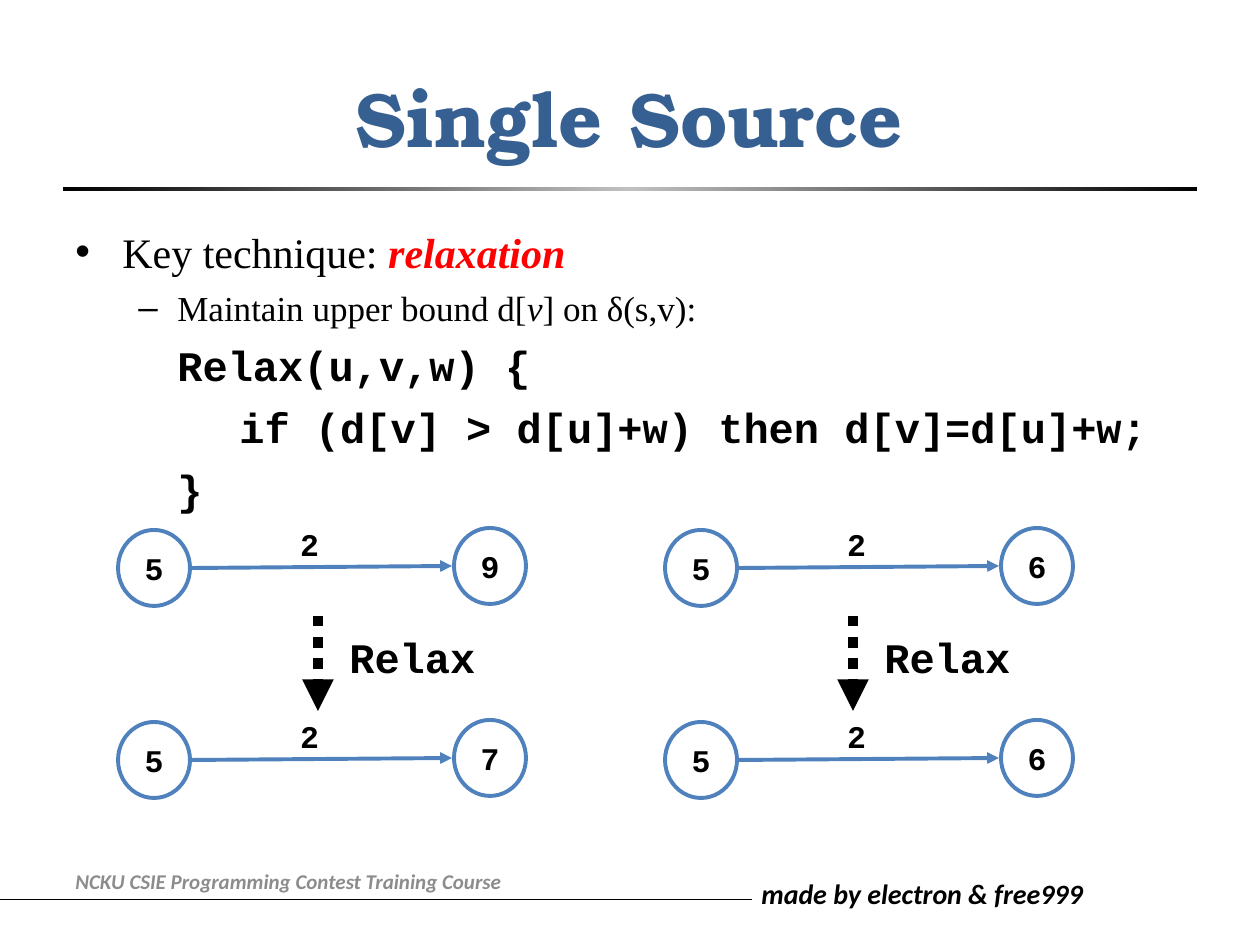
import pptx
import pptx.util
import pptx.dml.color
import pptx.enum.dml
import pptx.enum.shapes
import pptx.enum.text
import pptx.oxml
import pptx.oxml.ns
import lxml.etree

SCALE = 914400 / 126
COLORS = {"black": "000000", "title": "376092", "red": "FF0000", "blue": "4F81BD",
          "white": "FFFFFF", "silver": "C0C0C0", "grey": "8C8C8C"}
CODE, SERIF, SANS = "Courier New", "Times New Roman", "Calibri"
ALIGN = pptx.enum.text.PP_ALIGN
ANCHOR = pptx.enum.text.MSO_ANCHOR
SHAPE = pptx.enum.shapes.MSO_SHAPE

TITLE = "Single Source"
COURSE = "NCKU CSIE Programming Contest Training Course"
AUTHORS = "made by electron & free999"
HEAD = {"font": SERIF, "size": 24}
SUB = {"font": SERIF, "size": 20}
LISTING = {"font": CODE, "size": 24, "bold": True}
# bullet, left margin, first-line indent, space before (points), runs
BODY = [
    ("•", 47, -47, 5, [("Key technique: ", HEAD),
                       ("relaxation", {**HEAD, "color": "red", "bold": True, "italic": True})]),
    ("–", 102, -39, 5.5, [("Maintain upper bound d[", SUB), ("v", {**SUB, "italic": True}),
                          ("] on δ(s,v):", SUB)]),
    (None, 102, 0, 6.5, [("Relax(u,v,w) {", LISTING)]),
    (None, 164, 0, 6.5, [("if (d[v] > d[u]+w) then d[v]=d[u]+w;", LISTING)]),
    (None, 102, 0, 6.5, [("}", LISTING)]),
]
# left of the edges, left of the relax arrow, (from, weight, to) before and after
EXAMPLES = [
    (118, 318, [("5", "2", "9"), ("5", "2", "7")]),
    (665, 853, [("5", "2", "6"), ("5", "2", "6")]),
]
EDGE_TOP, EDGE_STEP = 528, 192


def px(*lengths):
    """Turn pixels into EMU."""
    return [pptx.util.Emu(round(n * SCALE)) for n in lengths]


def rgb(name):
    """Look up a named colour."""
    return pptx.dml.color.RGBColor.from_string(COLORS[name])


def add_run(p, text, font=CODE, size=18, color="black", bold=False, italic=False):
    """Append a formatted run to a paragraph."""
    r = p.add_run()
    r.text = text
    r.font.name, r.font.size = font, pptx.util.Pt(size)
    r.font.bold, r.font.italic = bold, italic
    r.font.color.rgb = rgb(color)


def write(sp, text, align=ALIGN.LEFT, anchor=ANCHOR.TOP, wrap=True, **style):
    """Put one formatted line of text into a shape."""
    tf = sp.text_frame
    tf.word_wrap, tf.vertical_anchor = wrap, anchor
    p = tf.paragraphs[0]
    p.alignment = align
    add_run(p, text, **style)


def add_line(shapes, x1, y1, x2, y2, color="black", width=0.5, arrow=False, dash=None):
    """Draw a straight line, optionally dashed and with an arrowhead."""
    sp = shapes.add_connector(pptx.enum.shapes.MSO_CONNECTOR.STRAIGHT, *px(x1, y1, x2, y2))
    sp.line.color.rgb = rgb(color)
    sp.line.width = pptx.util.Pt(width)
    if dash:
        sp.line.dash_style = dash
    if arrow:
        lxml.etree.SubElement(sp.line._get_or_add_ln(), pptx.oxml.ns.qn("a:tailEnd"),
                              type="triangle")
    lxml.etree.SubElement(sp._element.spPr, pptx.oxml.ns.qn("a:effectLst"))


def add_node(shapes, x, y, label):
    """Draw a graph node with its distance."""
    sp = shapes.add_shape(SHAPE.OVAL, *px(x, y, 72, 76))
    sp.shadow.inherit = False
    sp.fill.solid()
    sp.fill.fore_color.rgb = rgb("white")
    sp.line.color.rgb = rgb("blue")
    sp.line.width = pptx.util.Pt(2.25)
    write(sp, label, align=ALIGN.CENTER, anchor=ANCHOR.MIDDLE, bold=True)


def add_edge(shapes, x, y, start, weight, end):
    """Draw two nodes joined by a weighted arrow."""
    add_node(shapes, x + 336, y, end)
    add_node(shapes, x, y + 2, start)
    add_line(shapes, x + 74, y + 40, x + 334, y + 38, "blue", 2.25, arrow=True)
    write(shapes.add_textbox(*px(x + 168, y - 9, 47, 54)), weight,
          align=ALIGN.CENTER, wrap=False, bold=True)


def add_example(s, x, arrow_x, edges):
    """Draw an edge before and after relaxation as one group."""
    shapes = s.shapes.add_group_shape().shapes
    for i, edge in enumerate(edges):
        add_edge(shapes, x, EDGE_TOP + i * EDGE_STEP, *edge)
    add_line(shapes, arrow_x, 616, arrow_x, 711, width=6, arrow=True,
             dash=pptx.enum.dml.MSO_LINE.ROUND_DOT)
    write(shapes.add_textbox(*px(arrow_x + 19, 625, 151, 63)), "Relax",
          wrap=False, size=24, bold=True)


def add_rule(s):
    """Draw the shaded bar under the title."""
    sp = s.shapes.add_shape(SHAPE.RECTANGLE, *px(63, 187, 1134, 4))
    sp.shadow.inherit = False
    sp.line.fill.background()
    sp.fill.gradient()
    sp.fill.gradient_angle = 0
    stops = sp.fill._fill._gradFill.gsLst
    for stop in list(stops):
        stops.remove(stop)
    for pos, name in [(0, "black"), (50000, "silver"), (100000, "black")]:
        stops.append(pptx.oxml.parse_xml(
            f'<a:gs {pptx.oxml.ns.nsdecls("a")} pos="{pos}">'
            f'<a:srgbClr val="{COLORS[name]}"/></a:gs>'))


def add_body(s):
    """Write the bullets and the code listing."""
    tf = s.shapes.add_textbox(*px(63, 220, 1134, 624)).text_frame
    tf.word_wrap = True
    for i, (bullet, margin, indent, before, runs) in enumerate(BODY):
        p = tf.add_paragraph() if i else tf.paragraphs[0]
        p.space_before = pptx.util.Pt(before)
        pPr = p._p.get_or_add_pPr()
        for key, value in zip(("marL", "indent"), px(margin, indent)):
            pPr.set(key, str(value))
        if bullet:
            lxml.etree.SubElement(pPr, pptx.oxml.ns.qn("a:buFont"), typeface="Arial")
            lxml.etree.SubElement(pPr, pptx.oxml.ns.qn("a:buChar"), char=bullet)
        for text, style in runs:
            add_run(p, text, **style)


prs = pptx.Presentation()
prs.slide_width, prs.slide_height = px(1260, 945)
s = prs.slides.add_slide(prs.slide_layouts[5])

add_line(s.shapes, -35, 899, 752, 899)
write(s.shapes.add_textbox(*px(749, 870, 349, 47)), AUTHORS,
      font=SANS, size=16, bold=True, italic=True)
add_rule(s)

title = s.shapes.title
title.left, title.top, title.width, title.height = px(63, 38, 1134, 157)
write(title, TITLE, align=ALIGN.CENTER, anchor=ANCHOR.MIDDLE,
      font="TeX Gyre Bonum", size=44, color="title", bold=True)

add_body(s)
for example in EXAMPLES:
    add_example(s, *example)
write(s.shapes.add_textbox(*px(63, 856, 567, 50)), COURSE, anchor=ANCHOR.MIDDLE,
      font=SANS, size=12, color="grey", bold=True, italic=True)

prs.save("out.pptx")
